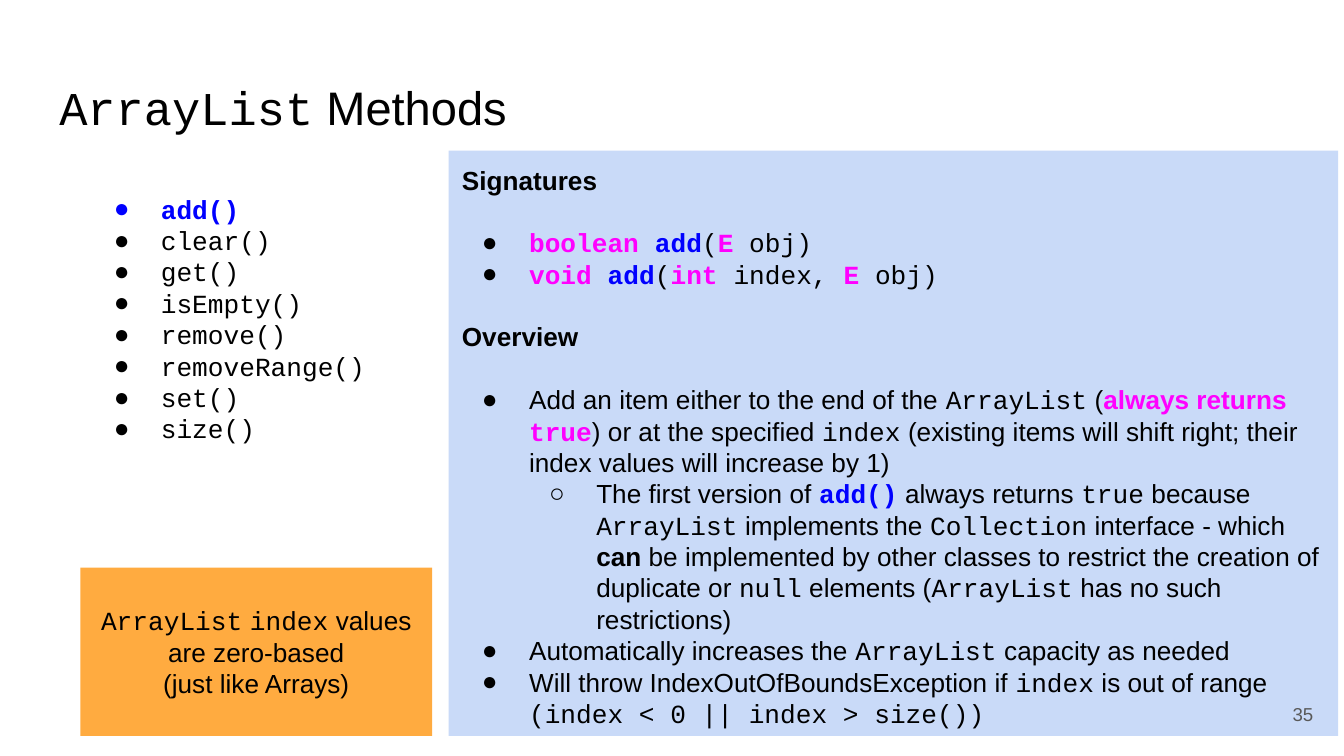
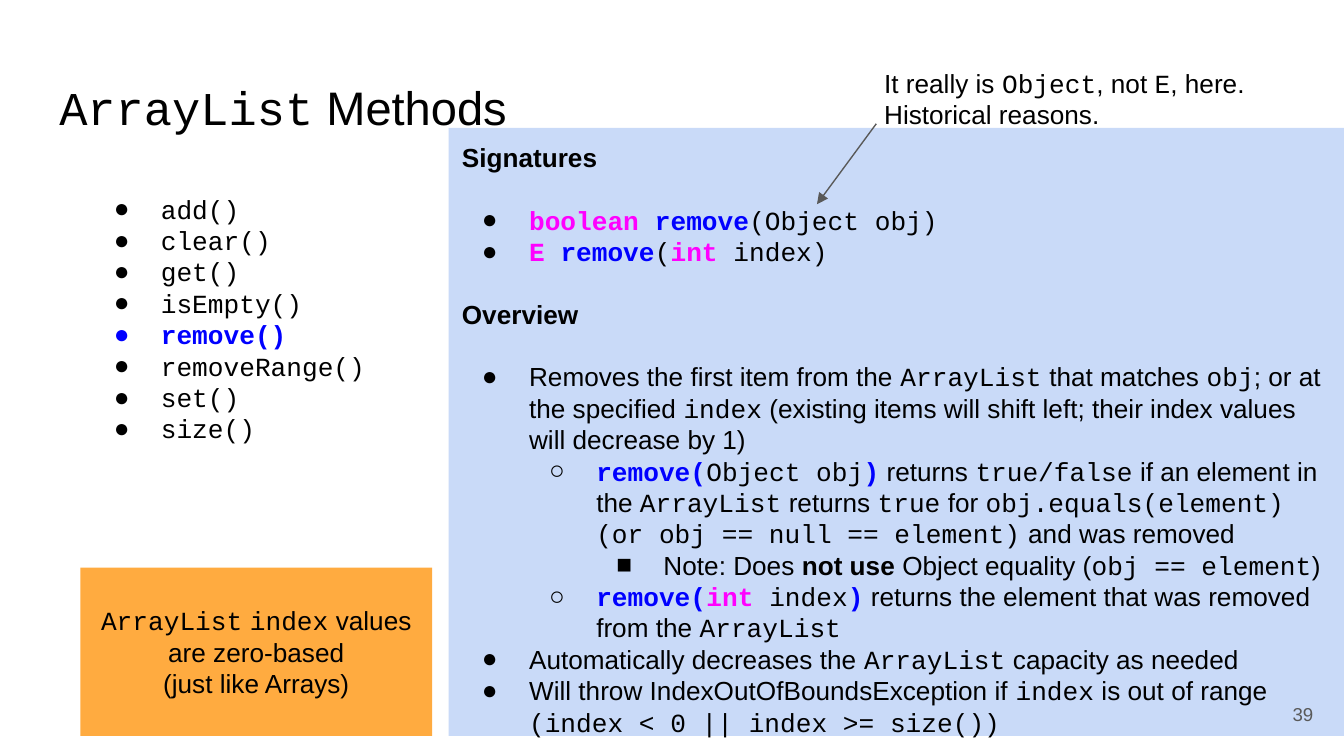
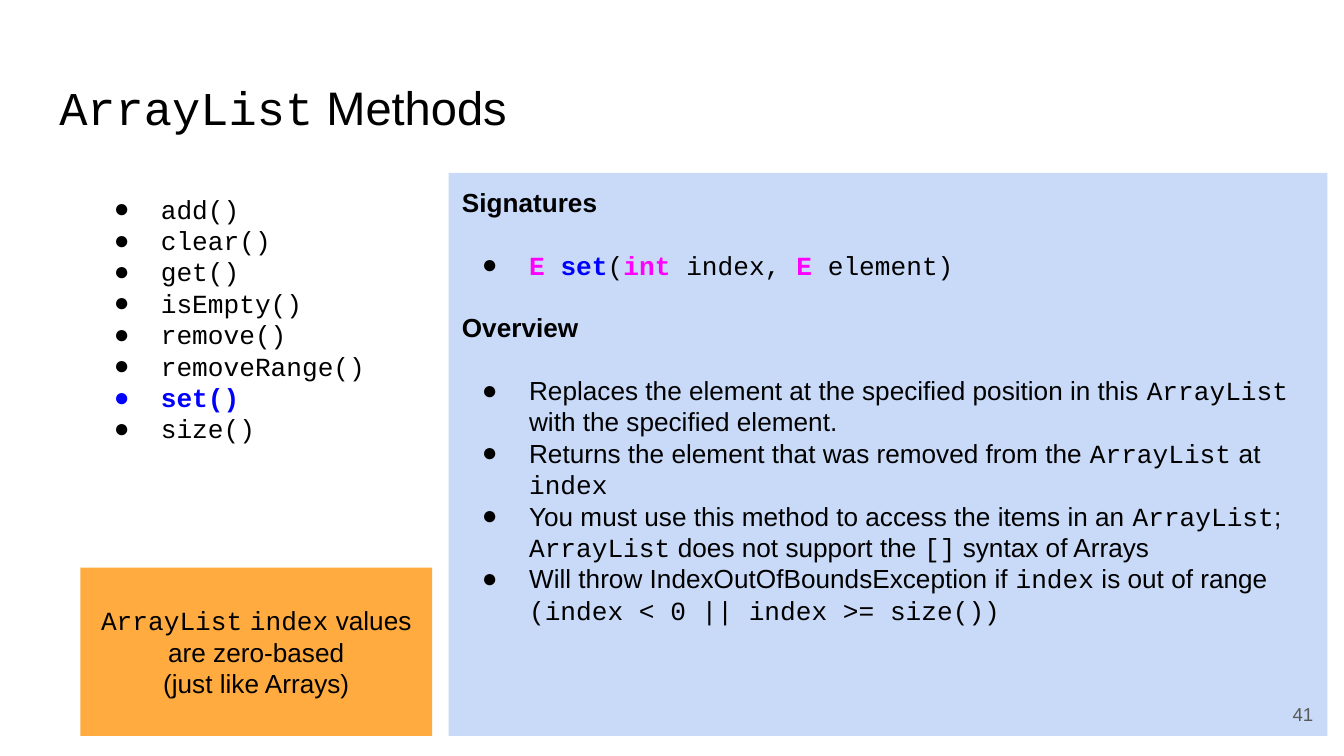
"""Build three slides on the methods of ArrayList."""
from dataclasses import dataclass
from typing import Optional

from lxml import etree
from pptx import Presentation
from pptx.dml.color import RGBColor
from pptx.enum.shapes import MSO_CONNECTOR, MSO_SHAPE
from pptx.enum.text import MSO_ANCHOR, MSO_AUTO_SIZE, PP_ALIGN
from pptx.oxml.ns import qn
from pptx.slide import Slide
from pptx.text.text import TextFrame
from pptx.util import Cm, Pt

RECTANGLE = MSO_SHAPE.RECTANGLE
STRAIGHT = MSO_CONNECTOR.STRAIGHT
TOP, MIDDLE = MSO_ANCHOR.TOP, MSO_ANCHOR.MIDDLE
LEFT, CENTER, RIGHT = PP_ALIGN.LEFT, PP_ALIGN.CENTER, PP_ALIGN.RIGHT
NO_AUTOFIT = MSO_AUTO_SIZE.NONE

BLACK = RGBColor(0x00, 0x00, 0x00)
BLUE = RGBColor(0x00, 0x00, 0xFF)
MAGENTA = RGBColor(0xFF, 0x00, 0xFF)
GRAY = RGBColor(0x59, 0x59, 0x59)
PALE_BLUE = RGBColor(0xC9, 0xDA, 0xF8)
ORANGE = RGBColor(0xFF, 0xAB, 0x40)

SANS, MONO = "Arial", "Courier New"
TEXT_SIZE, TITLE_SIZE, NUMBER_SIZE = 14, 25.2, 10
LINE_PITCH = Pt(16.8)
INSET = Cm(0.25)
INDENT_STEP, HANGING = Cm(1.27), Cm(0.89)
BULLETS = "●○■"
PANEL_LEFT, PANEL_BOTTOM = 8.48, 13.91
METHODS = ["add()", "clear()", "get()", "isEmpty()", "remove()",
           "removeRange()", "set()", "size()"]


@dataclass(frozen=True)
class Span:
    """A stretch of text in one style."""
    text: str
    font: str = SANS
    color: RGBColor = BLACK
    bold: bool = False


@dataclass(frozen=True)
class Line:
    """A paragraph; a level of None means no bullet."""
    spans: list[Span]
    level: Optional[int] = None
    bullet_color: RGBColor = BLACK
    before: int = 0
    after: int = 0


@dataclass(frozen=True)
class Frame:
    """A rectangle measured in centimetres."""
    left: float
    top: float
    width: float
    height: float

    def lengths(self) -> tuple[Cm, Cm, Cm, Cm]:
        """Return the four sides as lengths."""
        return Cm(self.left), Cm(self.top), Cm(self.width), Cm(self.height)


@dataclass(frozen=True)
class MethodPage:
    """What differs from one method page to the next."""
    number: int
    method: str
    panel_top: float
    panel_width: float
    signatures: list[Line]
    overview: list[Line]
    note: Optional[list[Line]] = None


TITLE_FRAME = Frame(0.87, 1.24, 23.67, 1.6)
LIST_FRAME = Frame(1.52, 3.4, 5.77, 5.31)
CALLOUT_FRAME = Frame(1.52, 10.73, 6.65, 3.18)
NUMBER_FRAME = Frame(23.55, 12.95, 1.52, 1.09)
NOTE_FRAME = Frame(16.46, 1.02, 8.05, 1.7)
ARROW_ENDS = (16.56, 2.34, 15.44, 3.86)


def code(text: str) -> Span:
    """Return plain code."""
    return Span(text, MONO)


def kind(text: str) -> Span:
    """Return a highlighted type name."""
    return Span(text, MONO, MAGENTA, True)


def method(text: str) -> Span:
    """Return a highlighted method name."""
    return Span(text, MONO, BLUE, True)


def strong(text: str, color: RGBColor = BLACK) -> Span:
    """Return bold prose."""
    return Span(text, SANS, color, True)


def item(*parts: Span | str, level: int = 0) -> Line:
    """Return a bulleted line, taking bare strings as plain prose."""
    return Line([Span(part) if isinstance(part, str) else part for part in parts], level)


def heading(text: str, before: int = 0) -> Line:
    """Return a panel heading followed by one line of space."""
    return Line([strong(text)], before=before, after=LINE_PITCH)


def range_error(condition: str) -> Line:
    """Return the warning about an index out of range."""
    return item("Will throw IndexOutOfBoundsException if ", code("index"),
                " is out of range ", code(condition))


ARRAY_LIST = code("ArrayList")
TITLE = [Line([ARRAY_LIST, Span(" Methods")])]
CALLOUT = [Line([ARRAY_LIST, Span(" "), code("index"), Span(" values are zero-based"),
                 Span("\n"), Span("(just like Arrays)")])]

PAGES = [
    MethodPage(
        35, "add()", 2.85, 16.81,
        [item(kind("boolean "), method("add"), code("("), kind("E"), code(" obj)")),
         item(kind("void "), method("add"), code("("), kind("int"), code(" index, "),
              kind("E"), code(" obj)"))],
        [item("Add an item either to the end of the ", ARRAY_LIST, " (",
              strong("always returns ", MAGENTA), kind("true"), ") or at the specified ",
              code("index"),
              " (existing items will shift right; their index values will increase by 1)"),
         item("The first version of ", method("add()"), " always returns ", code("true"),
              " because ", ARRAY_LIST, " implements the ", code("Collection"),
              " interface - which ", strong("can"),
              " be implemented by other classes to restrict the creation of duplicate or ",
              code("null"), " elements (", ARRAY_LIST, " has no such restrictions)", level=1),
         item("Automatically increases the ", ARRAY_LIST, " capacity as needed"),
         range_error("(index < 0 || index > size())")],
    ),
    MethodPage(
        39, "remove()", 2.42, 16.92,
        [item(kind("boolean "), method("remove"), code("(Object obj)")),
         item(kind("E "), method("remove"), code("("), kind("int"), code(" index)"))],
        [item("Removes the first item from the ", ARRAY_LIST, " that matches ", code("obj"),
              "; or at the specified ", code("index"),
              " (existing items will shift left; their index values will decrease by 1)"),
         item(method("remove("), code("Object obj"), method(")"), " returns ",
              code("true/false"), " if an element in the ", ARRAY_LIST, " returns ",
              code("true"), " for ", code("obj.equals(element) (or obj == null == element)"),
              " and was removed", level=1),
         item("Note: Does ", strong("not use"), " Object equality (",
              code("obj == element"), ")", level=2),
         item(method("remove("), kind("int"), code(" index"), method(")"),
              " returns the element that was removed from the ", ARRAY_LIST, level=1),
         item("Automatically decreases the ", ARRAY_LIST, " capacity as needed"),
         range_error("(index < 0 || index >= size())")],
        [Line([Span("It really is "), code("Object"), Span(", not "), code("E"),
               Span(", here.")]),
         Line([Span("Historical reasons.")])],
    ),
    MethodPage(
        41, "set()", 3.27, 16.61,
        [item(kind("E "), method("set"), code("("), kind("int"), code(" index, "),
              kind("E"), code(" element)"))],
        [item("Replaces the element at the specified position in this ", ARRAY_LIST,
              " with the specified element."),
         item("Returns the element that was removed from the ", ARRAY_LIST, " at ",
              code("index")),
         item("You must use this method to access the items in an ", ARRAY_LIST, "; ",
              ARRAY_LIST, " does not support the ", code("[]"), " syntax of Arrays"),
         range_error("(index < 0 || index >= size())")],
    ),
]


def write(box: TextFrame, lines: list[Line], size: float = TEXT_SIZE,
          align: PP_ALIGN = LEFT, anchor: MSO_ANCHOR = TOP) -> None:
    """Fill a text frame with styled lines."""
    box.word_wrap = True
    box.auto_size = NO_AUTOFIT
    box.vertical_anchor = anchor
    box.margin_left = box.margin_right = box.margin_top = box.margin_bottom = INSET
    for index, line in enumerate(lines):
        para = box.add_paragraph() if index else box.paragraphs[0]
        para.alignment = align
        para.line_spacing = LINE_PITCH if size == TEXT_SIZE else 1.0
        para.space_before, para.space_after = line.before, line.after
        if line.level is not None:
            para.level = line.level
            properties = para._p.get_or_add_pPr()
            properties.set("marL", str(INDENT_STEP * (line.level + 1)))
            properties.set("indent", str(-HANGING))
            tint = etree.SubElement(properties, qn("a:buClr"))
            etree.SubElement(tint, qn("a:srgbClr"), val=str(line.bullet_color))
            etree.SubElement(properties, qn("a:buFont"), typeface=SANS)
            etree.SubElement(properties, qn("a:buChar"), char=BULLETS[line.level])
        for span in line.spans:
            if span.text == "\n":
                para.add_line_break()
                continue
            run = para.add_run()
            run.text = span.text
            run.font.name, run.font.size = span.font, Pt(size)
            run.font.bold = span.bold
            run.font.color.rgb = span.color


def add_block(page: Slide, frame: Frame, fill: RGBColor, lines: list[Line],
              align: PP_ALIGN = LEFT, anchor: MSO_ANCHOR = TOP) -> None:
    """Draw a filled rectangle with text."""
    block = page.shapes.add_shape(RECTANGLE, *frame.lengths())
    block.shadow.inherit = False
    block.fill.solid()
    block.fill.fore_color.rgb = fill
    block.line.fill.background()
    write(block.text_frame, lines, align=align, anchor=anchor)


def add_arrow(page: Slide, ends: tuple[float, float, float, float]) -> None:
    """Draw a thin arrow between two points."""
    arrow = page.shapes.add_connector(STRAIGHT, *map(Cm, ends))
    arrow.line.color.rgb = GRAY
    arrow.line.width = Pt(0.75)
    etree.SubElement(arrow.line._get_or_add_ln(), qn("a:tailEnd"), type="triangle")
    etree.SubElement(arrow._element.spPr, qn("a:effectLst"))


def place(shape, frame: Frame) -> TextFrame:
    """Move a placeholder and return its text frame."""
    shape.left, shape.top, shape.width, shape.height = frame.lengths()
    return shape.text_frame


def method_list(current: str) -> list[Line]:
    """Return the list of methods with the current one highlighted."""
    return [Line([method(name)], 0, BLUE) if name == current else Line([code(name)], 0)
            for name in METHODS]


def add_method_page(deck, content: MethodPage) -> None:
    """Add one page that describes a method."""
    page = deck.slides.add_slide(deck.slide_layouts[1])
    write(place(page.shapes.title, TITLE_FRAME), TITLE, TITLE_SIZE)
    write(place(page.placeholders[1], LIST_FRAME), method_list(content.method))
    panel = Frame(PANEL_LEFT, content.panel_top, content.panel_width,
                  PANEL_BOTTOM - content.panel_top)
    add_block(page, panel, PALE_BLUE,
              [heading("Signatures"), *content.signatures,
               heading("Overview", LINE_PITCH), *content.overview])
    add_block(page, CALLOUT_FRAME, ORANGE, CALLOUT, CENTER, MIDDLE)
    if content.note:
        add_arrow(page, ARROW_ENDS)
        note = page.shapes.add_textbox(*NOTE_FRAME.lengths())
        write(note.text_frame, content.note)
    number = page.shapes.add_textbox(*NUMBER_FRAME.lengths())
    write(number.text_frame, [Line([Span(str(content.number), color=GRAY)])],
          NUMBER_SIZE, RIGHT, MIDDLE)


def main() -> None:
    """Build and save the deck."""
    deck = Presentation()
    deck.slide_width, deck.slide_height = Cm(25.4), Cm(14.29)
    for content in PAGES:
        add_method_page(deck, content)
    deck.save("out.pptx")


if __name__ == "__main__":
    main()
